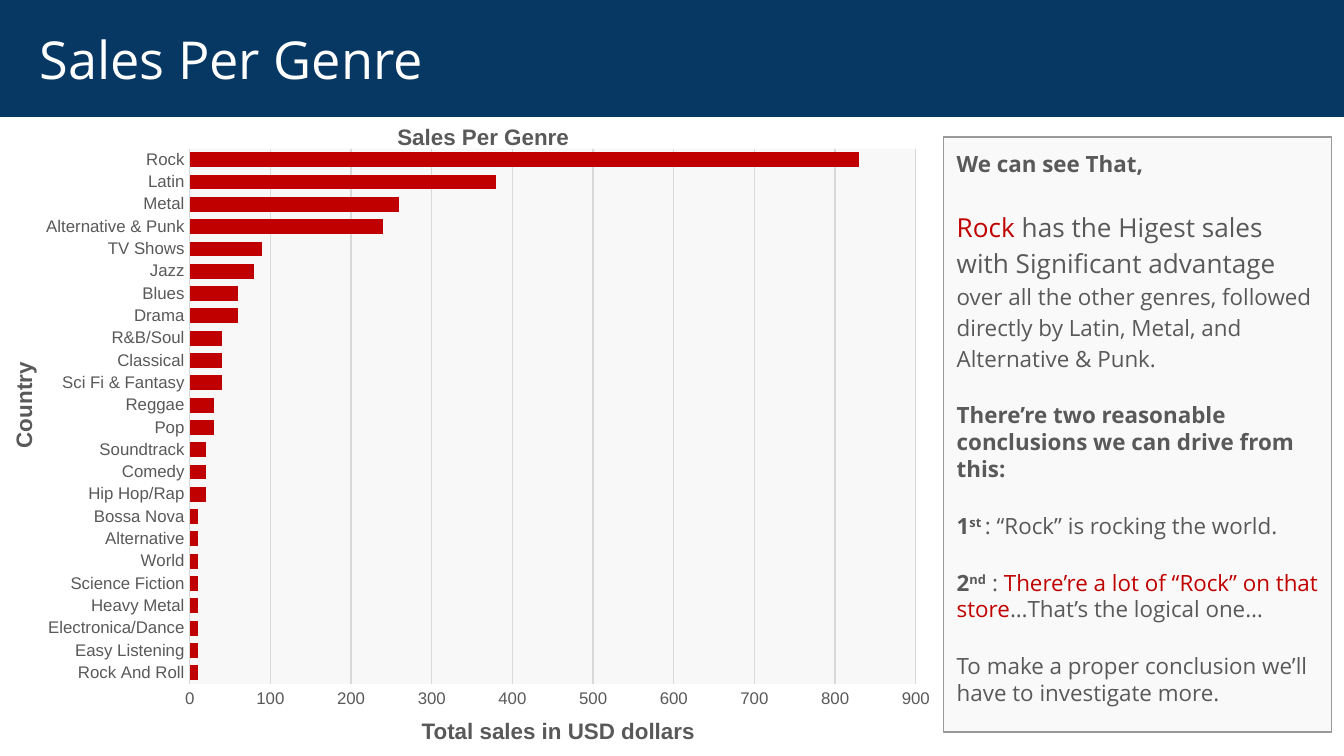
from dataclasses import dataclass

from lxml.etree import SubElement
from pptx import Presentation
from pptx.chart.data import CategoryChartData
from pptx.dml.color import RGBColor
from pptx.enum.chart import XL_CHART_TYPE as ChartType, XL_TICK_MARK as TickMark
from pptx.enum.text import MSO_ANCHOR as Anchor, MSO_AUTO_SIZE as AutoSize, PP_ALIGN as Align
from pptx.oxml import parse_xml
from pptx.oxml.ns import nsdecls, qn
from pptx.util import Cm, Pt


@dataclass(frozen=True)
class Theme:
    navy: str = "073763"
    white: str = "FFFFFF"
    red: str = "C00000"
    text: str = "595959"
    grid: str = "D9D9D9"
    border: str = "999999"
    panel: str = "EEEEEE"
    plot: str = "F2F2F2"
    heading_font: str = "Open Sans"
    chart_font: str = "Arial"
    title_size: int = 28
    lead_size: int = 14
    body_size: int = 12
    axis_size: int = 9
    paragraph_gap: int = 16
    hairline: float = 0.75


SALES = {
    "Rock": 830, "Latin": 380, "Metal": 260, "Alternative & Punk": 240,
    "TV Shows": 90, "Jazz": 80, "Blues": 60, "Drama": 60, "R&B/Soul": 40,
    "Classical": 40, "Sci Fi & Fantasy": 40, "Reggae": 30, "Pop": 30,
    "Soundtrack": 20, "Comedy": 20, "Hip Hop/Rap": 20, "Bossa Nova": 10,
    "Alternative": 10, "World": 10, "Science Fiction": 10, "Heavy Metal": 10,
    "Electronica/Dance": 10, "Easy Listening": 10, "Rock And Roll": 10,
}

theme = Theme()
BOLD = {"bold": True}
RAISED = {"bold": True, "raised": True}
RED = {"color": theme.red}
LEAD = {"size": theme.lead_size}

# Each paragraph: line spacing and its runs
FINDINGS = [
    (1.0, [("We can see That,", BOLD)]),
    (1.15, [("Rock", {**LEAD, **RED}),
            (" has the Higest sales with Significant advantage ", LEAD),
            ("over all the other genres, followed directly by Latin, Metal, "
             "and Alternative & Punk.", {})]),
    (1.0, [("There’re two reasonable conclusions we can drive from this:", BOLD)]),
    (1.0, [("1", BOLD), ("st ", RAISED), (": “Rock” is rocking the world.", {})]),
    (1.0, [("2", BOLD), ("nd", RAISED), (" : ", {}),
           ("There’re a lot of “Rock” on that store", RED),
           ("…That’s the logical one…", {})]),
    (1.0, [("To make a proper conclusion we’ll have to investigate more.", {})]),
]


class SlideBuilder:
    def __init__(self, slide, theme):
        self.slide = slide
        self.theme = theme

    def place(self, shape, left, top, width, height):
        shape.left, shape.top = Cm(left), Cm(top)
        shape.width, shape.height = Cm(width), Cm(height)

    def paint(self, fill, color, opacity=None):
        fill.solid()
        fill.fore_color.rgb = RGBColor.from_string(color)
        if opacity is not None:
            for tag in fill._xPr.iter(qn("a:srgbClr")):
                SubElement(tag, qn("a:alpha"), val=str(opacity * 1000))

    def outline(self, line, color):
        line.color.rgb = RGBColor.from_string(color)
        line.width = Pt(self.theme.hairline)

    def style(self, font, name, size, color, bold=False):
        font.name, font.size, font.bold = name, Pt(size), bold
        font.color.rgb = RGBColor.from_string(color)

    def add_run(self, para, text, font=None, size=None, color=None, bold=False, raised=False):
        span = para.add_run()
        span.text = text
        self.style(span.font, font or self.theme.heading_font,
                   size or self.theme.body_size, color or self.theme.text, bold)
        if raised:
            span.font._element.set("baseline", "30000")

    def frame(self, shape, anchor, inset_left=0.25):
        frame = shape.text_frame
        frame.word_wrap, frame.auto_size = True, AutoSize.NONE
        frame.vertical_anchor = anchor
        frame.margin_left = Cm(inset_left)
        frame.margin_top = frame.margin_right = frame.margin_bottom = Cm(0.25)
        return frame

    def title(self, text, *bounds):
        shape = self.slide.shapes.title
        self.place(shape, *bounds)
        self.paint(shape.fill, self.theme.navy)
        para = self.frame(shape, Anchor.MIDDLE, inset_left=0.75).paragraphs[0]
        para.alignment = Align.LEFT
        self.add_run(para, text, size=self.theme.title_size, color=self.theme.white)

    def body(self, paragraphs, *bounds):
        shape = self.slide.placeholders[1]
        self.place(shape, *bounds)
        self.paint(shape.fill, self.theme.panel, opacity=33)
        self.outline(shape.line, self.theme.border)
        frame = self.frame(shape, Anchor.TOP)
        for index, (spacing, runs) in enumerate(paragraphs):
            para = frame.add_paragraph() if index else frame.paragraphs[0]
            para.line_spacing = spacing
            para.space_before, para.space_after = Pt(0), Pt(self.theme.paragraph_gap)
            properties = para._p.get_or_add_pPr()
            properties.set("marL", "0")
            properties.set("indent", "0")
            SubElement(properties, qn("a:buNone"))
            for text, look in runs:
                self.add_run(para, text, **look)

    def label(self, text, *bounds, rotation=0):
        box = self.slide.shapes.add_textbox(*map(Cm, bounds))
        box.rotation = rotation
        box.text_frame.word_wrap = False
        self.add_run(box.text_frame.paragraphs[0], text, font=self.theme.chart_font, bold=True)

    def bar_chart(self, sales, *bounds):
        data = CategoryChartData()
        # Bars run upwards, so the largest comes last
        data.categories = list(sales)[::-1]
        data.add_series("Series 1", list(sales.values())[::-1])
        chart = self.slide.shapes.add_chart(
            ChartType.BAR_CLUSTERED, *map(Cm, bounds), data).chart
        chart.has_legend = chart.has_title = False
        self.style(chart.font, self.theme.chart_font, self.theme.axis_size, self.theme.text)

        # Bars
        plot = chart.plots[0]
        plot.gap_width, plot.vary_by_categories = 50, False
        self.paint(plot.series[0].format.fill, self.theme.red)

        # Axes
        genres, dollars = chart.category_axis, chart.value_axis
        for axis in (genres, dollars):
            axis.major_tick_mark = axis.minor_tick_mark = TickMark.NONE
            self.style(axis.tick_labels.font, self.theme.chart_font,
                       self.theme.axis_size, self.theme.text)
        self.outline(genres.format.line, self.theme.grid)
        dollars.minimum_scale, dollars.maximum_scale, dollars.major_unit = 0, 900, 100
        dollars.format.line.fill.background()
        self.outline(dollars.major_gridlines.format.line, self.theme.grid)

        # Plot area position and translucent fill
        area = chart._chartSpace.chart.plotArea
        for old in area.findall(qn("c:layout")):
            area.remove(old)
        parts = {"x": 0.18, "y": 0.02, "w": 0.79, "h": 0.92}
        sizes = "".join(f'<c:{key} val="{value}"/>' for key, value in parts.items())
        area.insert(0, parse_xml(
            f'<c:layout {nsdecls("c")}><c:manualLayout><c:layoutTarget val="inner"/>'
            f'<c:xMode val="edge"/><c:yMode val="edge"/>{sizes}</c:manualLayout></c:layout>'))
        area.append(parse_xml(
            f'<c:spPr {nsdecls("c", "a")}><a:solidFill><a:srgbClr val="{self.theme.plot}">'
            '<a:alpha val="51000"/></a:srgbClr></a:solidFill></c:spPr>'))


def main():
    deck = Presentation()
    deck.slide_width, deck.slide_height = Cm(25.4), Cm(14.29)
    page = SlideBuilder(deck.slides.add_slide(deck.slide_layouts[1]), theme)

    # Header, chart and findings
    page.title("Sales Per Genre", 0, 0, 25.4, 2.21)
    page.bar_chart(SALES, 0.46, 2.59, 17.37, 11)
    page.body(FINDINGS, 17.83, 2.59, 7.34, 11.25)

    # Chart captions
    page.label("Total sales in USD dollars", 7.72, 13.44, 6.02, 0.76)
    page.label("Country", -0.74, 7.16, 2.36, 0.76, rotation=270)
    page.label("Sales Per Genre", 7.26, 2.21, 3.78, 0.76)

    deck.save("out.pptx")


if __name__ == "__main__":
    main()
